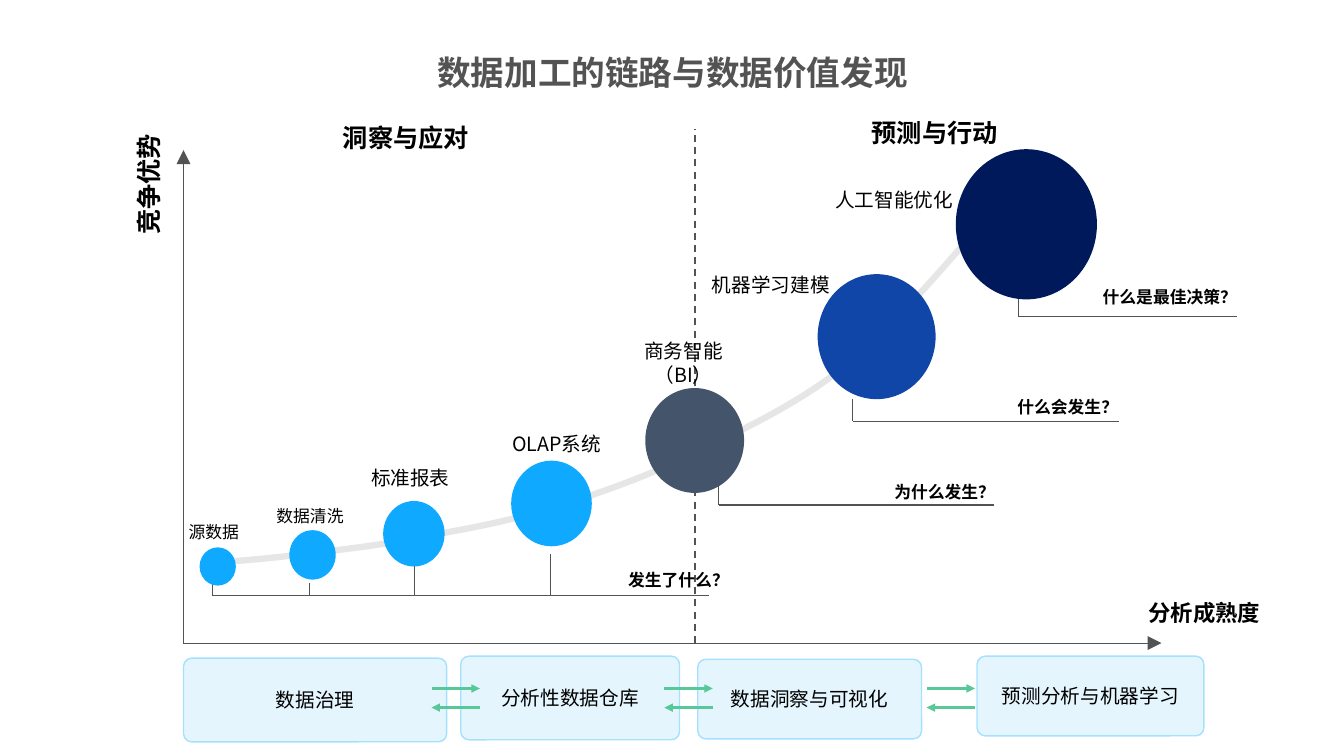
"""Build the slide on the data processing chain and the value found in data."""
from dataclasses import dataclass

from lxml.etree import SubElement
from pptx import Presentation
from pptx.dml.color import RGBColor
from pptx.enum.dml import MSO_LINE
from pptx.enum.shapes import MSO_CONNECTOR, MSO_SHAPE
from pptx.enum.text import MSO_ANCHOR, MSO_AUTO_SIZE, PP_ALIGN
from pptx.oxml.ns import qn
from pptx.util import Inches, Pt


@dataclass(frozen=True)
class Theme:
    """Font, colours and type sizes."""
    font: str = "Noto Sans CJK SC"
    title: str = "535353"
    text: str = "000000"
    rule: str = "525352"
    curve: str = "E7E6E6"
    data: str = "0FAAFF"
    insight: str = "44546A"
    learning: str = "0F46A7"
    decision: str = "00195A"
    box_fill: str = "E4F5FD"
    box_line: str = "A5E1FF"
    exchange: str = "58C899"
    title_size: int = 24
    heading_size: int = 18
    axis_size: int = 16
    label_size: int = 14
    small_size: int = 12


THEME = Theme()
TITLE = "数据加工的链路与数据价值发现"
ORIGIN = (1.82, 6.38)
HEADINGS = [("洞察与应对", (2.13, 1.07, 3.79, 0.49)), ("预测与行动", (7.77, 1.02, 3, 0.49))]
LABELS = [
    ("源数据", (1.62, 5.18, 1, 0.23), THEME.small_size),
    ("数据清洗", (2.45, 5.02, 1.25, 0.23), THEME.small_size),
    ("标准报表", (3.61, 4.62, 0.92, 0.27), THEME.label_size),
    ("OLAP系统", (5.03, 4.28, 0.98, 0.27), THEME.label_size),
    ("商务智能（BI）", (6.14, 3.59, 1.28, 0.27), THEME.label_size),
    ("机器学习建模", (7, 2.7, 1.29, 0.27), THEME.label_size),
    ("人工智能优化", (8.01, 1.86, 1.72, 0.27), THEME.label_size),
]
BUBBLES = [
    ((1.98, 5.43, 0.36, 0.38), THEME.data),
    ((2.87, 5.26, 0.46, 0.49), THEME.data),
    ((3.8, 4.97, 0.61, 0.65), THEME.data),
    ((5.07, 4.57, 0.8, 0.85), THEME.data),
    ((6.4, 3.85, 0.98, 1.04), THEME.insight),
    ((8.11, 2.72, 1.17, 1.24), THEME.learning),
    ((9.48, 1.48, 1.4, 1.49), THEME.decision),
]
QUESTIONS = [
    ("发生了什么？", (5.33, 5.56, 1.9, 0.34), (2.11, 7.03, 5.91),
     [(2.11, 5.78), (3.07, 5.78), (4.11, 5.62), (5.46, 5.5)]),
    ("为什么发生？", (7.7, 4.68, 2.17, 0.35), (7.13, 9.86, 5.01), [(7.13, 4.79)]),
    ("什么会发生？", (9, 3.83, 2.09, 0.35), (8.46, 11.1, 4.18), [(8.46, 3.96)]),
    ("什么是最佳决策？", (10.07, 2.52, 2.2, 0.57), (10.1, 12.27, 3.14), [(10.1, 2.93)]),
]
CURVE = [
    (2.28, 5.57), (2.56, 5.55), (2.84, 5.52), (3.16, 5.48), (3.49, 5.44), (3.83, 5.4),
    (4.22, 5.32), (4.61, 5.25), (5.06, 5.17), (5.51, 5.03), (5.95, 4.89), (6.44, 4.72),
    (6.9, 4.49), (7.37, 4.26), (7.88, 4.02), (8.32, 3.68), (8.76, 3.33), (9.16, 2.88),
    (9.56, 2.42),
]
CURVE_STEPS = 12
STAGES = [
    ("数据治理", (1.82, 6.53, 2.61, 0.83)),
    ("分析性数据仓库", (4.57, 6.51, 2.17, 0.83)),
    ("数据洞察与可视化", (6.92, 6.54, 2.22, 0.79)),
    ("预测分析与机器学习", (9.69, 6.51, 2.25, 0.79)),
]
STAGE_RADIUS = 0.08
EXCHANGE_LEFTS = [4.28, 6.59, 9.19]
EXCHANGE_WIDTH = 0.48
EXCHANGE_ROWS = (6.83, 7.02)


def color(value):
    """Turn a hex string into a colour."""
    return RGBColor.from_string(value)


def write(frame, text, size, align=PP_ALIGN.CENTER, bold=False, ink=THEME.text):
    """Write one formatted run into a text frame."""
    paragraph = frame.paragraphs[0]
    paragraph.alignment = align
    run = paragraph.add_run()
    run.text = text
    run.font.name = THEME.font
    run.font.size = Pt(size)
    run.font.bold = bold
    run.font.color.rgb = color(ink)
    SubElement(run.font._element, qn("a:ea")).set("typeface", THEME.font)
    return paragraph


def add_text(slide, text, area, size, margins=(0, 0, 0, 0), anchor=MSO_ANCHOR.BOTTOM,
             wrap=True, grow=False, **style):
    """Add a text box."""
    box = slide.shapes.add_textbox(*map(Inches, area))
    frame = box.text_frame
    frame.word_wrap = wrap
    frame.vertical_anchor = anchor
    frame.auto_size = MSO_AUTO_SIZE.SHAPE_TO_FIT_TEXT if grow else MSO_AUTO_SIZE.NONE
    (frame.margin_left, frame.margin_top,
     frame.margin_right, frame.margin_bottom) = map(Inches, margins)
    write(frame, text, size, **style)
    return box


def add_line(slide, start, end, width=0.75, ink=THEME.rule, arrow=None, dash=None):
    """Add a straight line, with an arrowhead of the given size at its end."""
    line = slide.shapes.add_connector(MSO_CONNECTOR.STRAIGHT, *map(Inches, start + end))
    line.line.color.rgb = color(ink)
    line.line.width = Pt(width)
    if dash:
        line.line.dash_style = dash
    if arrow:
        tail = SubElement(line.line._get_or_add_ln(), qn("a:tailEnd"))
        for name, value in (("type", "triangle"), ("w", arrow), ("len", arrow)):
            tail.set(name, value)
    SubElement(line._element.spPr, qn("a:effectLst"))


def add_shape(slide, kind, area, fill):
    """Add a filled preset shape without outline or shadow."""
    shape = slide.shapes.add_shape(kind, *map(Inches, area))
    shape.shadow.inherit = False
    shape.fill.solid()
    shape.fill.fore_color.rgb = color(fill)
    shape.line.fill.background()
    return shape


def curve_points():
    """Sample the cubic segments of the growth curve."""
    for first in range(0, len(CURVE) - 1, 3):
        controls = CURVE[first:first + 4]
        for step in range(1, CURVE_STEPS + 1):
            t = step / CURVE_STEPS
            weights = ((1 - t) ** 3, 3 * t * (1 - t) ** 2, 3 * t * t * (1 - t), t ** 3)
            yield tuple(Inches(sum(w * point[axis] for w, point in zip(weights, controls)))
                        for axis in (0, 1))


def add_curve(slide):
    """Draw the growth curve."""
    builder = slide.shapes.build_freeform(*map(Inches, CURVE[0]))
    builder.add_line_segments(list(curve_points()), close=False)
    curve = builder.convert_to_shape()
    curve.shadow.inherit = False
    curve.fill.background()
    curve.line.color.rgb = color(THEME.curve)
    curve.line.width = Pt(4.5)


def add_axes(slide):
    """Draw the axes, their names, the divider and the two headings."""
    left, base = ORIGIN
    add_line(slide, ORIGIN, (11.52, base), 0.25, arrow="lg")
    add_line(slide, ORIGIN, (left, 1.49), 0.25, arrow="lg")
    add_line(slide, (6.89, base), (6.89, 1.28), 1.25, dash=MSO_LINE.DASH)
    axis_style = {"anchor": MSO_ANCHOR.MIDDLE, "align": PP_ALIGN.RIGHT, "bold": True}
    vertical = add_text(slide, "竞争优势", (-0.27, 2.91, 3.49, 0.33),
                        THEME.heading_size, **axis_style)
    vertical.rotation = 270
    add_text(slide, "分析成熟度", (7.86, 5.93, 4.64, 0.3), THEME.axis_size, **axis_style)
    for text, area in HEADINGS:
        add_text(slide, text, area, THEME.heading_size, (0.1, 0.05, 0.1, 0.05),
                 wrap=False, bold=True)


def add_stages(slide):
    """Draw the row of stages and the exchanges between them."""
    for text, area in STAGES:
        box = add_shape(slide, MSO_SHAPE.ROUNDED_RECTANGLE, area, THEME.box_fill)
        box.adjustments[0] = STAGE_RADIUS / area[3]
        box.line.color.rgb = color(THEME.box_line)
        box.line.width = Pt(1)
        box.text_frame.vertical_anchor = MSO_ANCHOR.MIDDLE
        write(box.text_frame, text, THEME.label_size)
    upper, lower = EXCHANGE_ROWS
    for left in EXCHANGE_LEFTS:
        right = left + EXCHANGE_WIDTH
        add_line(slide, (left, upper), (right, upper), 2, THEME.exchange, "med")
        add_line(slide, (right, lower), (left, lower), 2, THEME.exchange, "med")


def main():
    """Build and save the presentation."""
    presentation = Presentation()
    presentation.slide_width, presentation.slide_height = Inches(13.33), Inches(7.5)
    slide = presentation.slides.add_slide(presentation.slide_layouts[5])
    title = slide.shapes.title
    title.left, title.top, title.width, title.height = map(Inches, (0.92, 0.47, 11.5, 0.53))
    title.text_frame.vertical_anchor = MSO_ANCHOR.MIDDLE
    write(title.text_frame, TITLE, THEME.title_size, bold=True,
          ink=THEME.title).line_spacing = 0.9
    add_axes(slide)
    for text, area, size in LABELS:
        add_text(slide, text, area, size, (0, 0, 0, 0.03), grow=True)
    for text, area, (left, right, base), stems in QUESTIONS:
        add_line(slide, (left, base), (right, base))
        for x, top in stems:
            add_line(slide, (x, base), (x, top))
        add_text(slide, text, area, THEME.small_size, (0.1, 0.05, 0, 0.05),
                 align=PP_ALIGN.RIGHT, bold=True)
    add_curve(slide)
    for area, fill in BUBBLES:
        add_shape(slide, MSO_SHAPE.OVAL, area, fill)
    add_stages(slide)
    presentation.save("out.pptx")


if __name__ == "__main__":
    main()
